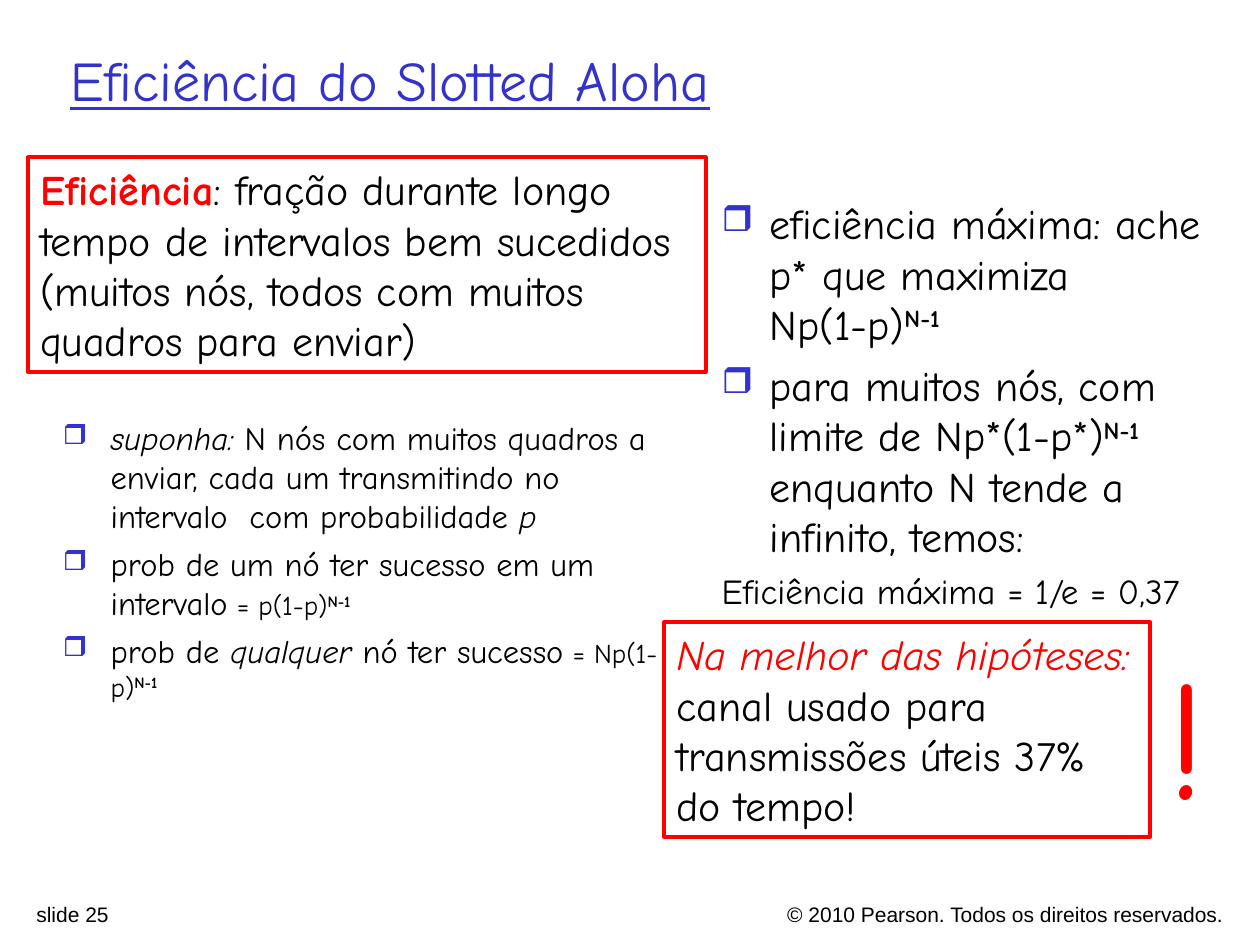
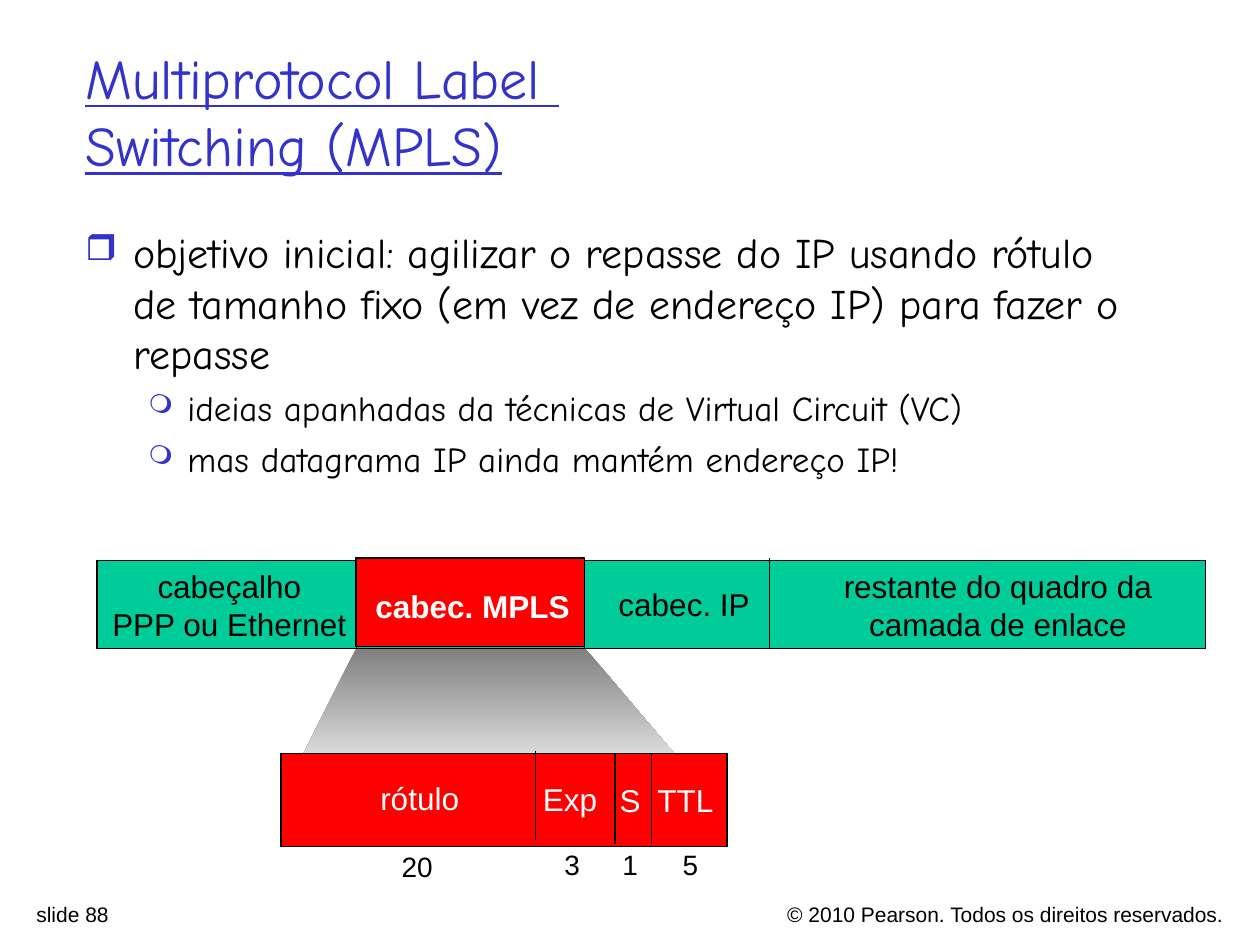
from lxml import etree
from pptx import Presentation, util as u
from pptx.dml.color import RGBColor
from pptx.enum import shapes, text
from pptx.oxml import ns

colour = RGBColor.from_string
BLUE, RED, GREEN, BLACK, WHITE = "3333CC", "FF0000", "00CC99", "000000", "FFFFFF"
COMIC = {"name": "Comic Neue", "size": 24, "colour": BLACK}
ARIAL = {"name": "Arial", "size": 18, "colour": BLACK}
TITLE = COMIC | {"size": 32, "colour": BLUE, "underline": True}
POWER = {"bold": True, "raised": True}
SQUARE = {"left": 0.38, "hang": -0.38, "bullet": "❒", "percent": 85, "before": 6}
CIRCLE = {"left": 0.81, "hang": -0.31, "bullet": "❍", "percent": 75, "before": 5}
PLAIN = {"left": 0.38, "hang": -0.38, "before": 5}
LEFT, CENTER, RIGHT = text.PP_ALIGN.LEFT, text.PP_ALIGN.CENTER, text.PP_ALIGN.RIGHT


def rectangle(page, at, fill=None, line=BLACK, width=0.75):
    box = page.shapes.add_shape(shapes.MSO_SHAPE.RECTANGLE, *map(u.Inches, at))
    box.shadow.inherit = False
    if fill:
        box.fill.solid()
        box.fill.fore_color.rgb = colour(fill)
    else:
        box.fill.background()
    box.line.color.rgb = colour(line)
    box.line.width = u.Pt(width)
    return box


def write(box, paragraphs, base, align=LEFT, anchor=text.MSO_ANCHOR.TOP):
    frame = box.text_frame
    frame.word_wrap = True
    frame.vertical_anchor = anchor
    for number, (layout, spans) in enumerate(paragraphs):
        para = frame.add_paragraph() if number else frame.paragraphs[0]
        para.alignment = align
        if layout:
            properties = para._p.get_or_add_pPr()
            properties.set("marL", str(u.Inches(layout["left"])))
            properties.set("indent", str(u.Inches(layout["hang"])))
            if "bullet" in layout:
                tint = etree.SubElement(properties, ns.qn("a:buClr"))
                etree.SubElement(tint, ns.qn("a:srgbClr"), val=BLUE)
                etree.SubElement(properties, ns.qn("a:buSzPct"), val=str(layout["percent"] * 1000))
                etree.SubElement(properties, ns.qn("a:buChar"), char=layout["bullet"])
            if number:
                para.space_before = u.Pt(layout["before"])
        for words, changes in spans:
            look = base | changes
            for row, piece in enumerate(words.split("\n")):
                if row:
                    para.add_line_break()
                span = para.add_run()
                span.text = piece
                span.font.size = u.Pt(look["size"])
                span.font.color.rgb = colour(look["colour"])
                for key in ("name", "bold", "italic", "underline"):
                    setattr(span.font, key, look.get(key))
                if look.get("raised"):
                    span._r.get_or_add_rPr().set("baseline", "30000")


deck = Presentation()
deck.slide_width, deck.slide_height = u.Inches(10), u.Inches(7.5)
pages = []
for number, title, title_at in [
    (25, "Eficiência do Slotted Aloha", (0.46, 0, 8.5, 1.25)),
    (88, "Multiprotocol Label \nSwitching (MPLS)", (0.58, 0.25, 8.5, 1.25)),
]:
    page = deck.slides.add_slide(deck.slide_layouts[6])
    pages.append(page)
    for words, at, align in [
        ("© 2010 Pearson. Todos os direitos reservados.", (4.7, 7.11, 5.11, 0.24), RIGHT),
        (f"slide {number}", (0.19, 7.11, 3.52, 0.24), LEFT),
    ]:
        footer = page.shapes.add_textbox(*map(u.Inches, at))
        write(footer, [(None, [(words, {})])], ARIAL | {"size": 12}, align)
    heading = page.shapes.add_textbox(*map(u.Inches, title_at))
    write(heading, [(None, [(title, {})])], TITLE, anchor=text.MSO_ANCHOR.MIDDLE)

aloha, mpls = pages

formula = {"size": 15.5}
italic = {"italic": True}
assumptions = [
    (SQUARE, [("suponha:", italic),
              (" N nós com muitos quadros a enviar, cada um transmitindo no "
               "intervalo  com probabilidade ", {}),
              ("p", italic)]),
    (SQUARE | {"before": 5}, [("prob de um nó ter sucesso em um intervalo", {}),
                              (" = p(1-p)", formula), ("N-1", formula | POWER)]),
    (SQUARE | {"before": 5}, [("prob de ", {}), ("qualquer", italic), (" nó ter sucesso", {}),
                              (" = Np(1-p)", formula), ("N-1", formula | POWER)]),
]
maximum = [
    (SQUARE, [("eficiência máxima: ache p* que maximiza \nNp(1-p)", {}), ("N-1", POWER)]),
    (SQUARE, [("para muitos nós, com limite de Np*(1-p*)", {}), ("N-1 ", POWER),
              ("enquanto N tende a infinito, temos:", {})]),
    (PLAIN, [("Eficiência máxima = 1/e = 0,37", {"size": 20})]),
]
for at, paragraphs, size in [
    ((0.4, 3.27, 4.98, 3.42), assumptions, 18.6),
    ((5.63, 1.52, 4.37, 3.54), maximum, 24),
]:
    body = aloha.shapes.add_textbox(*map(u.Inches, at))
    write(body, paragraphs, COMIC | {"size": size})

for at, lead, rest, emphasis in [
    ((0.22, 1.25, 5.38, 1.7), "Eficiência",
     ": fração durante longo tempo de intervalos bem sucedidos "
     "(muitos nós, todos com muitos quadros para enviar)", {"bold": True}),
    ((5.27, 4.94, 3.86, 1.7), "Na melhor das hipóteses:",
     " canal usado para transmissões úteis 37% do tempo!", italic),
]:
    callout = rectangle(aloha, at, line=RED, width=2.25)
    write(callout, [(None, [(lead, emphasis | {"colour": RED}), (rest, {})])], COMIC)

exclamation = aloha.shapes.add_textbox(*map(u.Inches, (9.15, 4.96, 0.75, 1.7)))
write(exclamation, [(None, [("!", {})])], COMIC | {"size": 96, "colour": RED})

goals = mpls.shapes.add_textbox(*map(u.Inches, (0.58, 1.75, 8.5, 2.3)))
write(goals, [
    (SQUARE, [("objetivo inicial: agilizar o repasse do IP usando rótulo de tamanho fixo "
               "(em vez de endereço IP) para fazer o repasse", {})]),
    (CIRCLE, [("ideias apanhadas da técnicas de Virtual Circuit (VC)", {"size": 20})]),
    (CIRCLE, [("mas datagrama IP ainda mantém endereço IP!", {"size": 20})]),
], COMIC)

outline = mpls.shapes.build_freeform(u.Inches(2.83), u.Inches(5.14))
outline.add_line_segments([(u.Inches(x), u.Inches(y))
                           for x, y in [(2.24, 6.32), (5.64, 6.32), (4.64, 5.14)]])
zoom = outline.convert_to_shape()
zoom.shadow.inherit = False
zoom.line.fill.background()
zoom.fill.gradient()
zoom.fill.gradient_angle = 270
for stop, tone in zip(zoom.fill.gradient_stops, ("808080", WHITE)):
    stop.color.rgb = colour(tone)

rectangle(mpls, (0.77, 4.45, 8.8, 0.7), GREEN)
rectangle(mpls, (2.82, 4.43, 1.82, 0.7), RED)
rectangle(mpls, (2.23, 5.98, 3.54, 0.74), RED)

for x, top, bottom in [
    (2.83, 4.44, 5.15), (4.64, 4.43, 5.14), (6.11, 4.43, 5.15),
    (4.25, 5.96, 6.67), (4.88, 5.98, 6.7), (5.17, 5.98, 6.69),
]:
    divider = mpls.shapes.add_connector(
        shapes.MSO_CONNECTOR.STRAIGHT, *map(u.Inches, (x, top, x, bottom)))
    divider.line.color.rgb = colour(BLACK)
    divider.line.width = u.Pt(0.75)
    etree.SubElement(divider._element.spPr, ns.qn("a:effectLst"))

white, bits = {"colour": WHITE}, {"size": 16}
for words, at, look, align in [
    ("cabeçalho\nPPP ou Ethernet", (0.69, 4.45, 2.26, 0.7), {}, CENTER),
    ("cabec. MPLS", (2.78, 4.61, 1.94, 0.4), white | {"bold": True}, CENTER),
    ("cabec. IP", (4.71, 4.59, 1.44, 0.4), {}, CENTER),
    ("restante do quadro da\ncamada de enlace", (6.4, 4.45, 3.04, 0.7), {}, CENTER),
    ("rótulo", (2.92, 6.13, 1.1, 0.4), white, LEFT),
    ("Exp", (4.21, 6.14, 0.8, 0.4), white, LEFT),
    ("S", (4.82, 6.15, 0.5, 0.4), white, LEFT),
    ("TTL", (5.12, 6.15, 0.9, 0.4), white, LEFT),
    ("20", (3.09, 6.69, 0.6, 0.37), bits, LEFT),
    ("3", (4.38, 6.68, 0.45, 0.37), bits, LEFT),
    ("1", (4.84, 6.68, 0.45, 0.37), bits, LEFT),
    ("5", (5.32, 6.68, 0.45, 0.37), bits, LEFT),
]:
    label = mpls.shapes.add_textbox(*map(u.Inches, at))
    write(label, [(None, [(words, look)])], ARIAL, align)

deck.save("out.pptx")
